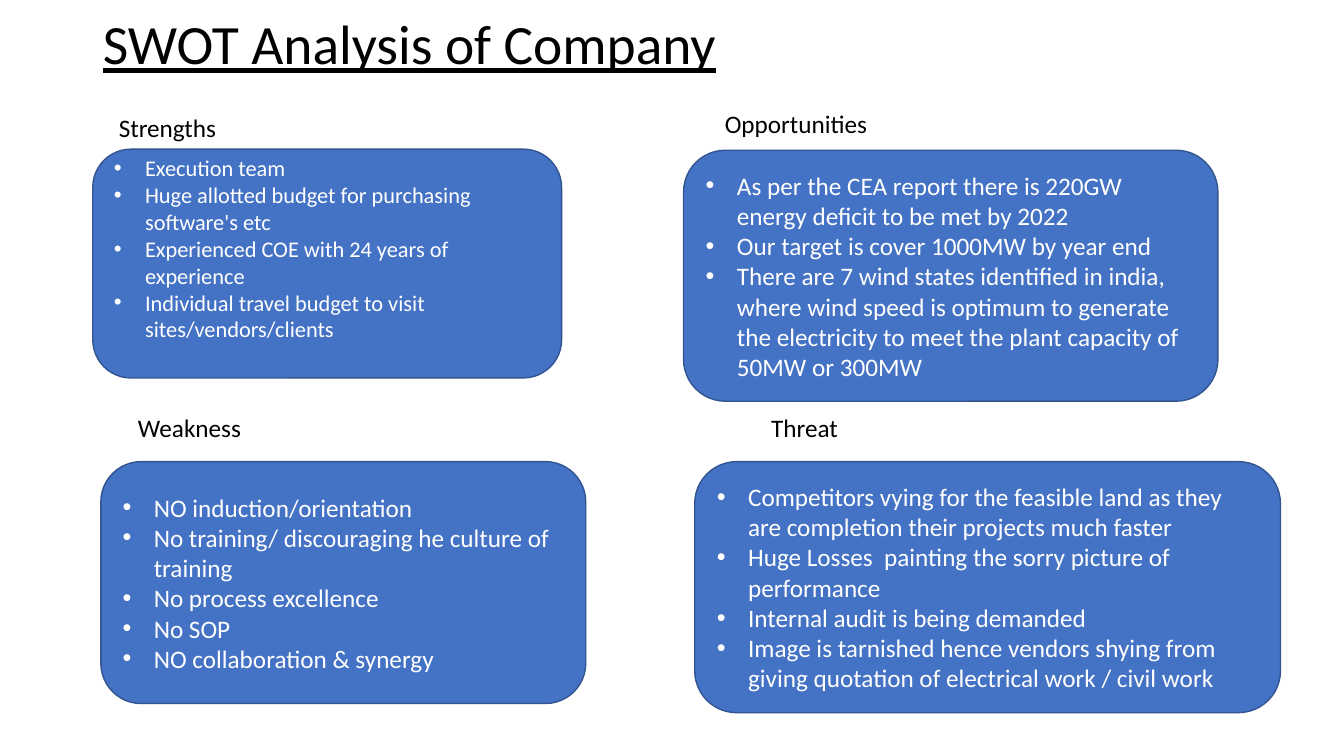
from lxml.etree import SubElement
from pptx import Presentation
from pptx.dml.color import RGBColor
from pptx.enum.shapes import MSO_SHAPE
from pptx.enum.text import MSO_ANCHOR, MSO_AUTO_SIZE, PP_ALIGN
from pptx.oxml.ns import qn
from pptx.util import Emu, Pt

BLACK = RGBColor(0x00, 0x00, 0x00)
WHITE = RGBColor(0xFF, 0xFF, 0xFF)
BLUE = RGBColor(0x44, 0x72, 0xC4)
DARK_BLUE = RGBColor(0x32, 0x54, 0x91)

QUADRANTS = [
    ("Strengths", (108, 107, 311, 40), (92, 148, 465, 227), 16, 35, [
        "Execution team",
        "Huge allotted budget for purchasing software's etc",
        "Experienced COE with 24 years of experience",
        "Individual travel budget to visit sites/vendors/clients",
    ]),
    ("Opportunities", (709, 103, 244, 40), (678, 149, 530, 249), 18, 5, [
        "As per the CEA report there is 220GW energy deficit to be met by 2022",
        "Our target is cover 1000MW by year end",
        "There are 7 wind states identified in india, where wind speed is optimum "
        "to generate the electricity to meet the plant capacity of 50MW or 300MW",
    ]),
    ("Weakness", (127, 404, 244, 40), (100, 458, 481, 240), 18, 5, [
        "NO induction/orientation",
        "No training/ discouraging he culture of training",
        "No process excellence",
        "No SOP",
        "NO collaboration & synergy",
    ]),
    ("Threat", (755, 404, 244, 40), (689, 458, 581, 249), 18, 5, [
        "Competitors vying for the feasible land as they are completion "
        "their projects much faster",
        "Huge Losses  painting the sorry picture of performance",
        "Internal audit is being demanded",
        "Image is tarnished hence vendors shying from giving quotation of "
        "electrical work / civil work",
    ]),
]


class SwotSlide:
    """Draws the parts of a SWOT slide in one shared style."""

    font_name = "Calibri"
    bullet_indent = 31

    def __init__(self, presentation):
        self.slide = presentation.slides.add_slide(presentation.slide_layouts[5])

    @staticmethod
    def px(length):
        return Emu(length * 9144)

    def box(self, bounds):
        return [self.px(length) for length in bounds]

    def add_text(self, paragraph, text, size, color):
        run = paragraph.add_run()
        run.text = text
        run.font.name = self.font_name
        run.font.size = Pt(size)
        run.font.color.rgb = color
        return run

    def title(self, text, bounds):
        shape = self.slide.shapes.title
        shape.left, shape.top, shape.width, shape.height = self.box(bounds)
        frame = shape.text_frame
        frame.auto_size = MSO_AUTO_SIZE.NONE
        frame.vertical_anchor = MSO_ANCHOR.MIDDLE
        paragraph = frame.paragraphs[0]
        paragraph.alignment = PP_ALIGN.LEFT
        paragraph.line_spacing = 0.9
        self.add_text(paragraph, text, 39.6, BLACK).font.underline = True

    def heading(self, text, bounds):
        frame = self.slide.shapes.add_textbox(*self.box(bounds)).text_frame
        frame.word_wrap = True
        self.add_text(frame.paragraphs[0], text, 18, BLACK)

    def bullet(self, paragraph):
        properties = paragraph._p.get_or_add_pPr()
        indent = self.px(self.bullet_indent)
        properties.set("marL", str(indent))
        properties.set("indent", str(-indent))
        SubElement(properties, qn("a:buFont"), typeface="Arial")
        SubElement(properties, qn("a:buChar"), char="•")

    def card(self, items, bounds, size, bottom_margin):
        shape = self.slide.shapes.add_shape(
            MSO_SHAPE.ROUNDED_RECTANGLE, *self.box(bounds))
        shape.shadow.inherit = False
        shape.fill.solid()
        shape.fill.fore_color.rgb = BLUE
        shape.line.color.rgb = DARK_BLUE
        shape.line.width = Pt(1)
        frame = shape.text_frame
        frame.word_wrap = True
        frame.vertical_anchor = MSO_ANCHOR.MIDDLE
        frame.margin_bottom = self.px(bottom_margin)
        for index, item in enumerate(items):
            paragraph = frame.add_paragraph() if index else frame.paragraphs[0]
            paragraph.alignment = PP_ALIGN.LEFT
            self.bullet(paragraph)
            self.add_text(paragraph, item, size, WHITE)


def main():
    presentation = Presentation()
    presentation.slide_width = SwotSlide.px(1333)
    presentation.slide_height = SwotSlide.px(750)
    swot = SwotSlide(presentation)
    swot.title("SWOT Analysis of Company", (92, 14, 1117, 65))
    for name, heading_bounds, card_bounds, size, bottom_margin, items in QUADRANTS:
        swot.card(items, card_bounds, size, bottom_margin)
        swot.heading(name, heading_bounds)
    presentation.save("out.pptx")


if __name__ == "__main__":
    main()
